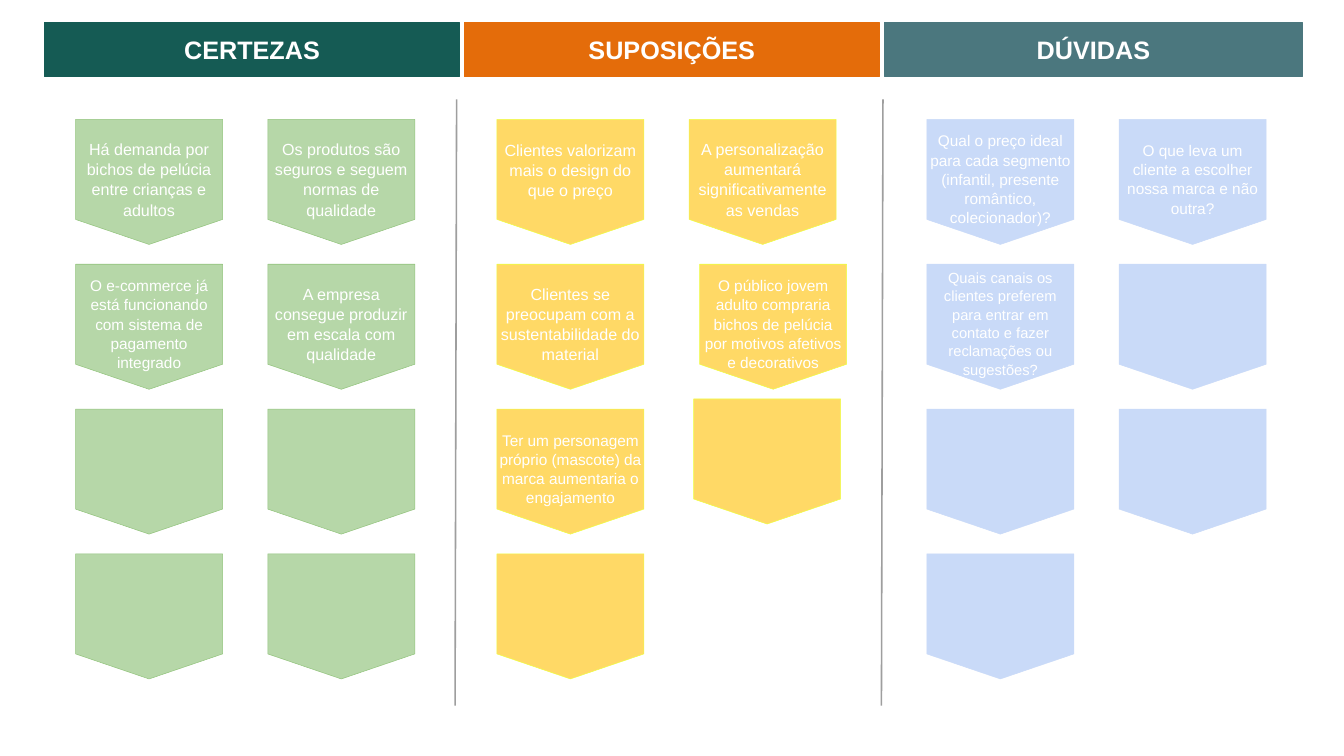
from lxml import etree
from pptx import Presentation
from pptx.dml.color import RGBColor
from pptx.enum.shapes import MSO_CONNECTOR, MSO_SHAPE
from pptx.enum.text import MSO_ANCHOR, PP_ALIGN
from pptx.oxml.ns import qn
from pptx.util import Pt

RECT = MSO_SHAPE.RECTANGLE
CARD = MSO_SHAPE.FLOWCHART_OFFPAGE_CONNECTOR
STRAIGHT = MSO_CONNECTOR.STRAIGHT
MIDDLE = MSO_ANCHOR.MIDDLE
CENTER = PP_ALIGN.CENTER

COLORS = {
    "white": "FFFFFF", "divider": "9E9E9E",
    "teal": "155B54", "orange": "E46C0A", "slate": "4B777E",
    "green": "B6D7A8", "green_line": "93C47D",
    "yellow": "FFD966", "yellow_line": "EEFF41",
    "blue": "C9DAF8",
}
CARD_W, CARD_H = 210, 178.6
CARD_TOP, STEP_X, STEP_Y = 170.6, 274.6, 206.9


def color(name):
    return RGBColor.from_string(COLORS[name])


def add_box(text, kind, x, y, w, h, fill, line, size=23, bold=False,
            inset=3.6, lead=0, spacing=1.0):
    sp = s.shapes.add_shape(kind, Pt(x), Pt(y), Pt(w), Pt(h))
    sp.shadow.inherit = False
    sp.fill.solid()
    sp.fill.fore_color.rgb = color(fill)
    sp.line.color.rgb = color(line)
    sp.line.width = Pt(0.75)
    if not text:
        return
    tf = sp.text_frame
    tf.word_wrap = True
    tf.vertical_anchor = MIDDLE
    tf.margin_left = tf.margin_right = tf.margin_bottom = Pt(inset)
    tf.margin_top = Pt(inset + lead)
    p = tf.paragraphs[0]
    p.alignment = CENTER
    p.line_spacing = spacing
    r = p.add_run()
    r.text = text
    r.font.name = "Arial"
    r.font.size = Pt(size)
    r.font.bold = bold
    r.font.color.rgb = color("white")


prs = Presentation()
prs.slide_width, prs.slide_height = Pt(1920), Pt(1080)
s = prs.slides.add_slide(prs.slide_layouts[6])

headers = [
    ("CERTEZAS", 63.4, 593.3, "teal"),
    ("SUPOSIÇÕES", 663.1, 593.3, "orange"),
    ("DÚVIDAS", 1263.6, 596.9, "slate"),
]
for title, x, w, fill in headers:
    add_box(title, RECT, x, 32.4, w, 77, fill, fill, size=36, bold=True, inset=7.2)

for x in (652.3, 1261.4):
    cx = s.shapes.add_connector(STRAIGHT, Pt(x), Pt(141.8), Pt(x - 2.2), Pt(1008))
    cx.line.color.rgb = color("divider")
    cx.line.width = Pt(2.25)
    etree.SubElement(cx._element.spPr, qn("a:effectLst"))

groups = [
    (108, "green", "green_line", [
        ("Há demanda por bichos de pelúcia entre crianças e adultos", 23),
        ("Os produtos são seguros e seguem normas de qualidade", 23),
        ("O e-commerce já está funcionando com sistema de pagamento integrado", 22),
        ("A empresa consegue produzir em escala com qualidade", 23),
        ("", 23), ("", 23), ("", 23), ("", 23),
    ]),
    (709.9, "yellow", "yellow_line", [
        ("Clientes valorizam mais o design do que o preço", 23),
        ("A personalização aumentará significativamente as vendas", 23),
        ("Clientes se preocupam com a sustentabilidade do material", 23),
        ("O público jovem adulto compraria bichos de pelúcia por motivos "
         "afetivos e decorativos", 22),
        ("Ter um personagem próprio (mascote) da marca aumentaria o engajamento", 22),
        ("", 23), ("", 23),
    ]),
    (1324.1, "blue", "blue", [
        ("Qual o preço ideal para cada segmento (infantil, presente romântico, "
         "colecionador)?", 22),
        ("O que leva um cliente a escolher nossa marca e não outra?", 22),
        ("Quais canais os clientes preferem para entrar em contato e fazer "
         "reclamações ou sugestões?", 21),
        ("", 23), ("", 23), ("", 23), ("", 23),
    ]),
]
nudges = {("yellow", 3): (15, 0), ("yellow", 5): (6.4, -14.4)}
no_lead = {("yellow", 0)}

for left, fill, line, cards in groups:
    for i, (text, size) in enumerate(cards):
        row, col = divmod(i, 2)
        dx, dy = nudges.get((fill, i), (0, 0))
        lead = 0 if (fill, i) in no_lead else 1.2 * size
        add_box(text, CARD, left + col * STEP_X + dx, CARD_TOP + row * STEP_Y + dy,
                CARD_W, CARD_H, fill, line, size=size, lead=lead, spacing=1.04)

prs.save("out.pptx")
